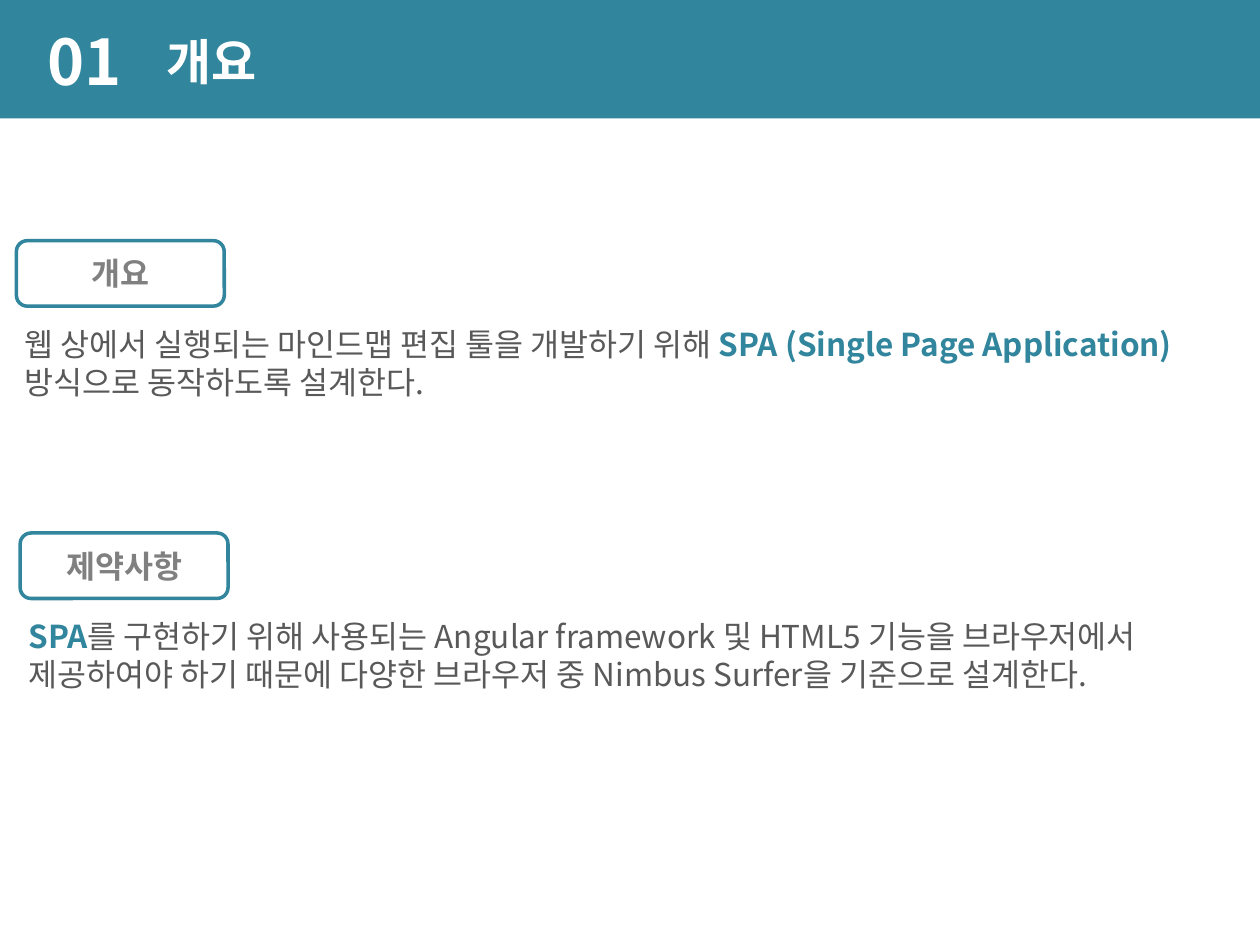
from lxml.etree import SubElement
from pptx import Presentation
from pptx.dml.color import RGBColor
from pptx.enum.shapes import MSO_SHAPE
from pptx.enum.text import MSO_ANCHOR, PP_ALIGN
from pptx.oxml.ns import qn
from pptx.util import Inches, Pt

THEME = {
    "font": "Noto Sans CJK KR",
    "teal": RGBColor.from_string("31859C"),
    "white": RGBColor.from_string("FFFFFF"),
    "label": RGBColor.from_string("808080"),
    "body": RGBColor.from_string("595959"),
    "number_size": Pt(36),
    "title_size": Pt(28),
    "text_size": Pt(18),
}


def style(p, size, color, bold=False):
    """Set the paragraph font for both Latin and Korean letters."""
    font = p.font
    font.size, font.bold, font.name = size, bold, THEME["font"]
    font.color.rgb = color
    SubElement(p._p.pPr.find(qn("a:defRPr")), qn("a:ea"), typeface=THEME["font"])


def add_text(x, y, w, h):
    tf = s.shapes.add_textbox(Inches(x), Inches(y), Inches(w), Inches(h)).text_frame
    tf.word_wrap = True
    return tf.paragraphs[0]


prs = Presentation()
prs.slide_width, prs.slide_height = Inches(10), Inches(7.5)
s = prs.slides.add_slide(prs.slide_layouts[6])

# Header band
band = s.shapes.add_shape(MSO_SHAPE.RECTANGLE, 0, 0, prs.slide_width, Inches(0.94))
band.shadow.inherit = False
band.fill.solid()
band.fill.fore_color.rgb = THEME["teal"]
band.line.fill.background()

headings = [
    ("01", (0.28, 0.13, 0.79, 0.71), THEME["number_size"]),
    ("개요", (1.22, 0.2, 6.14, 0.57), THEME["title_size"]),
]
for text, box, size in headings:
    p = add_text(*box)
    p.text = text
    style(p, size, THEME["white"], bold=True)

# Sections: label, left, top, body width, and body runs as (text, emphasised)
sections = [
    ("개요", 0.13, 1.91, 9.9, [
        ("웹 상에서 실행되는 마인드맵 편집 툴을 개발하기 위해 ", False),
        ("SPA (Single Page Application) ", True),
        ("방식으로 동작하도록 설계한다.", False),
    ]),
    ("제약사항", 0.16, 4.23, 9.76, [
        ("SPA", True),
        ("를 구현하기 위해 사용되는 Angular framework 및 HTML5 기능을 브라우저에서 "
         "제공하여야 하기 때문에 다양한 브라우저 중 Nimbus Surfer을 기준으로 설계한다.", False),
    ]),
]
for label, x, y, width, runs in sections:
    sp = s.shapes.add_shape(MSO_SHAPE.ROUNDED_RECTANGLE,
                            Inches(x), Inches(y), Inches(1.65), Inches(0.52))
    sp.shadow.inherit = False
    sp.fill.solid()
    sp.fill.fore_color.rgb = THEME["white"]
    sp.line.color.rgb = THEME["teal"]
    sp.line.width = Pt(2)
    sp.text_frame.vertical_anchor = MSO_ANCHOR.MIDDLE
    p = sp.text_frame.paragraphs[0]
    p.text = label
    p.alignment = PP_ALIGN.CENTER
    style(p, THEME["text_size"], THEME["label"], bold=True)

    p = add_text(x - 0.03, y + 0.62, width, 0.71)
    style(p, THEME["text_size"], THEME["body"])
    for text, emphasised in runs:
        r = p.add_run()
        r.text = text
        if emphasised:
            r.font.bold = True
            r.font.color.rgb = THEME["teal"]

prs.save("out.pptx")
